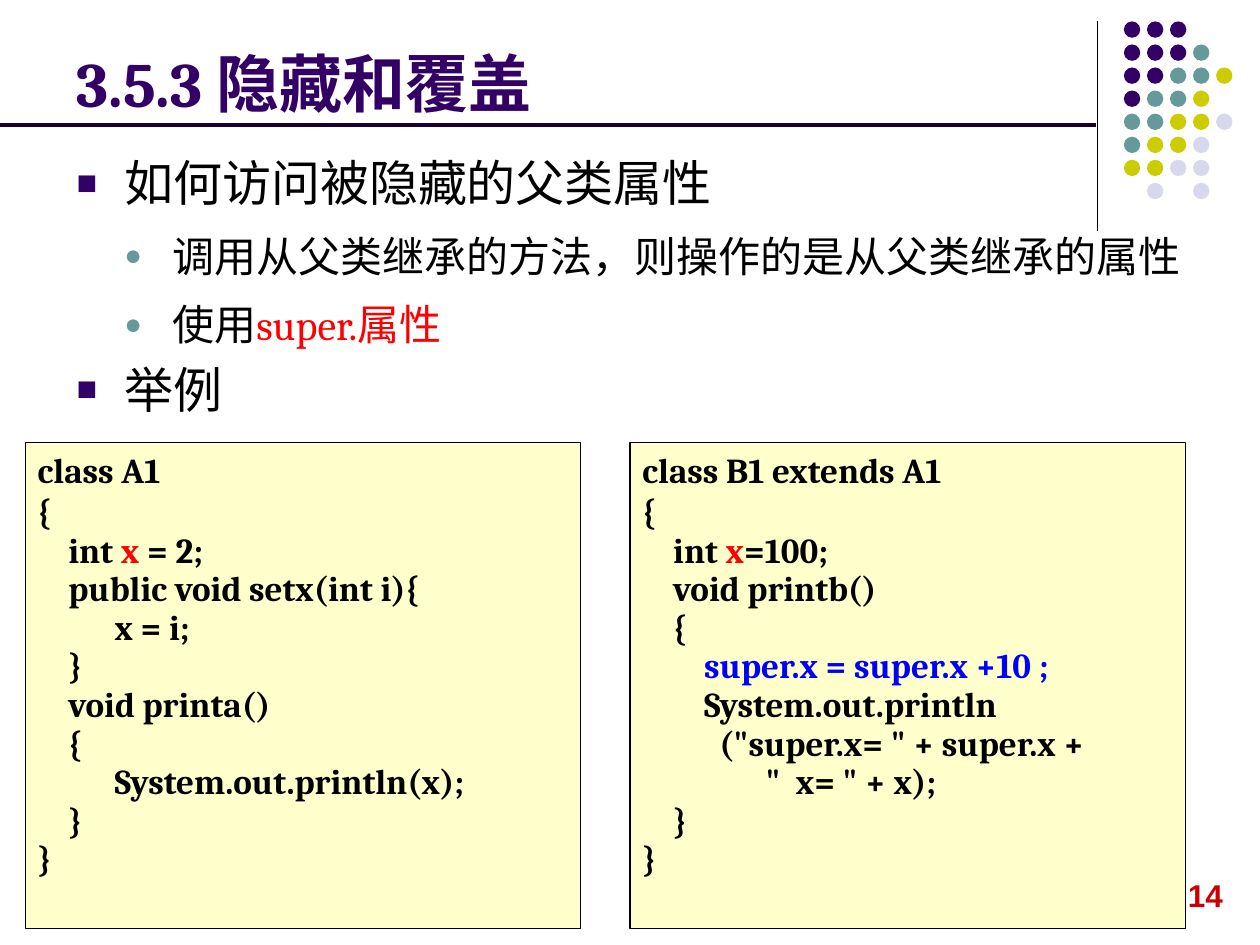
from lxml.etree import SubElement
from pptx import Presentation
from pptx.dml.color import RGBColor as RGB
from pptx.enum.shapes import MSO_CONNECTOR as CONN, MSO_SHAPE as SHAPE
from pptx.enum.text import MSO_ANCHOR as ANCHOR, PP_ALIGN as ALIGN
from pptx.oxml.ns import qn
from pptx.util import Inches, Pt

COLORS = {
    "purple": "330066", "teal": "669999", "olive": "CCCC00", "mist": "D8D8EC",
    "black": "000000", "red": "FF0000", "blue": "0000FF", "cream": "FFFFCC",
    "rule": "190033", "page": "CC0000",
}

TITLE = "3.5.3 隐藏和覆盖"
PAGE = "14"

# Level, line spacing, runs of (text, color)
POINTS = [
    (0, 1.2, [("如何访问被隐藏的父类属性", "black")]),
    (1, 1.2, [("调用从父类继承的方法，则操作的是从父类继承的属性", "black")]),
    (1, 1.2, [("使用", "black"), ("super.属性", "red")]),
    (0, 1.0, [("举例", "black")]),
]
# Size, bullet, bullet color for each level
LEVELS = [(28, "■", "purple"), (24, "●", "teal")]

# A line is a string, or a list of runs where it has several colors
CODE = [
    ["class A1",
     "{",
     [("    int ", "black"), ("x ", "red"), ("= 2;", "black")],
     "    public void setx(int i){",
     "          x = i;",
     "    }",
     "    void printa()",
     "    {",
     "          System.out.println(x);",
     "    }",
     "}"],
    ["class B1 extends A1",
     "{",
     [("    int ", "black"), ("x", "red"), ("=100;", "black")],
     "    void printb()",
     "    {",
     [("        ", "black"), ("super.x = super.x +10 ;", "blue")],
     "        System.out.println",
     "          (\"super.x= \" + super.x +",
     "                \"  x= \" + x);",
     "    }",
     "}"],
]

# One letter per dot: the first letter of its color
DOTS = ["ppp", "pppt", "pptto", "ptto", "ttoom", "toom", "oomm", " m m"]
DOT_COLORS = {"p": "purple", "t": "teal", "o": "olive", "m": "mist"}

prs = Presentation()
prs.slide_width, prs.slide_height = Inches(10), Inches(7.5)
slide = prs.slides.add_slide(prs.slide_layouts[6])
shapes = slide.shapes


def color(name):
    return RGB.from_string(COLORS[name])


def rule(x1, y1, x2, y2, name, width):
    line = shapes.add_connector(CONN.STRAIGHT, *map(Inches, (x1, y1, x2, y2)))
    line.line.color.rgb = color(name)
    line.line.width = Pt(width)
    SubElement(line._element.spPr, qn("a:effectLst"))


def block(kind, box, fill):
    shape = shapes.add_shape(kind, *map(Inches, box))
    shape.shadow.inherit = False
    shape.fill.solid()
    shape.fill.fore_color.rgb = color(fill)
    shape.line.fill.background()
    return shape


def label(box, wrap=True):
    frame = shapes.add_textbox(*map(Inches, box)).text_frame
    frame.word_wrap = wrap
    return frame


def write(para, runs, size, bold=False, font="Cambria"):
    for text, name in runs:
        run = para.add_run()
        run.text = text
        run.font.name, run.font.size, run.font.bold = font, Pt(size), bold
        run.font.color.rgb = color(name)


def paras(frame, items):
    for i, item in enumerate(items):
        yield i, (frame.add_paragraph() if i else frame.paragraphs[0]), item


def bullet(para, level, char, name):
    props = para._p.get_or_add_pPr()
    props.set("marL", str(Inches(0.38 * (level + 1))))
    props.set("indent", str(Inches(-0.38)))
    tint = SubElement(props, qn("a:buClr"))
    SubElement(tint, qn("a:srgbClr"), val=COLORS[name])
    SubElement(props, qn("a:buSzPct"), val="70000")
    SubElement(props, qn("a:buFont"), typeface="Arial")
    SubElement(props, qn("a:buChar"), char=char)


# Corner ornament: vertical rule and dot grid
rule(8.71, 0.17, 8.71, 1.83, "black", 0.75)
STEP = 0.183
for r, row in enumerate(DOTS):
    for c, key in enumerate(row):
        if key in DOT_COLORS:
            block(SHAPE.OVAL, (8.92 + c * STEP, 0.17 + r * STEP, 0.13, 0.13),
                  DOT_COLORS[key])

# Page number
write(label((9.33, 6.9, 0.48, 0.4), wrap=False).paragraphs[0],
      [(PAGE, "page")], 18, True, "Arial")

# Title
frame = label((0.51, 0.21, 8.25, 0.79))
frame.vertical_anchor = ANCHOR.BOTTOM
write(frame.paragraphs[0], [(TITLE, "purple")], 36, True)

# Bullet points
frame = label((0.51, 1.07, 9, 2.2))
for i, para, (level, gap, runs) in paras(frame, POINTS):
    size, char, name = LEVELS[level]
    para.level = level
    bullet(para, level, char, name)
    para.line_spacing = gap
    para.space_before = Pt(0.2 * size if i else 0)
    write(para, runs, size)

# Code panels
for n, lines in enumerate(CODE):
    panel = block(SHAPE.RECTANGLE, (0.2 + 4.8 * n, 3.51, 4.41, 3.86), "cream")
    panel.line.color.rgb = color("black")
    panel.line.width = Pt(0.75)
    frame = panel.text_frame
    frame.word_wrap = True
    frame.vertical_anchor = ANCHOR.TOP
    for i, para, line in paras(frame, lines):
        para.alignment = ALIGN.LEFT
        para.line_spacing = 0.5 if i else 1.0
        para.space_before = Pt(10 if i else 0)
        runs = [(line, "black")] if isinstance(line, str) else line
        write(para, runs, 20, True)

# Rule under the title
rule(0, 0.99, 8.7, 0.99, "rule", 2.25)

prs.save("out.pptx")
